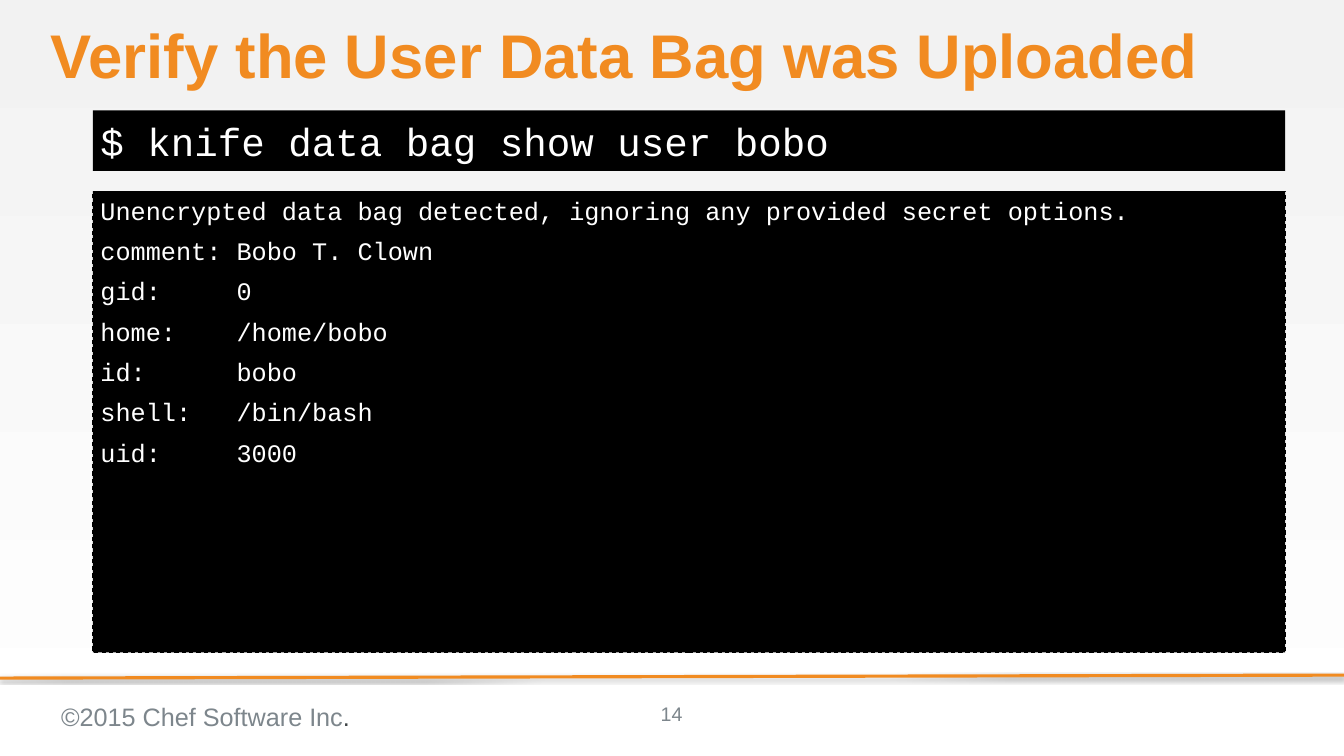
from lxml.etree import SubElement
from pptx import Presentation
from pptx.dml.color import RGBColor
from pptx.enum.dml import MSO_LINE_DASH_STYLE as Dash
from pptx.enum.shapes import MSO_CONNECTOR as Connector, MSO_SHAPE as Shape
from pptx.enum.text import MSO_ANCHOR as Anchor, PP_ALIGN as Align
from pptx.oxml.ns import qn
from pptx.util import Inches, Pt

ORANGE = RGBColor(0xF1, 0x8B, 0x21)
BLACK = RGBColor(0x00, 0x00, 0x00)
WHITE = RGBColor(0xFF, 0xFF, 0xFF)
PALE = RGBColor(0xF2, 0xF2, 0xF2)
GRAY = RGBColor(0x7D, 0x86, 0x8C)
DARK = RGBColor(0x3E, 0x43, 0x46)

TITLE = {"name": "Arial", "size": Pt(58.7), "bold": True}
COMMAND = {"name": "Courier New", "size": Pt(37.3)}
OUTPUT = {"name": "Courier New", "size": Pt(24)}
FOOTER = {"name": "Arial", "size": Pt(24)}
NUMBER = {"name": "Arial", "size": Pt(18.7)}

TERMINAL_LEFT, TERMINAL_WIDTH = 6.92, 88.7
OUTPUT_LINES = [
    "Unencrypted data bag detected, ignoring any provided secret options.",
    "comment: Bobo T. Clown",
    "gid:     0",
    "home:    /home/bobo",
    "id:      bobo",
    "shell:   /bin/bash",
    "uid:     3000",
]


def apply(target, values):
    for name, value in values.items():
        setattr(target, name, value)


class SlideBuilder:
    def __init__(self, presentation):
        self.width = presentation.slide_width
        self.height = presentation.slide_height
        self.slide = presentation.slides.add_slide(presentation.slide_layouts[6])

    def place(self, left, top, width, height):
        return (
            int(self.width * left / 100),
            int(self.height * top / 100),
            int(self.width * width / 100),
            int(self.height * height / 100),
        )

    def background(self, start, end):
        fill = self.slide.background.fill
        fill.gradient()
        fill.gradient_angle = 270
        for stop, color in zip(fill.gradient_stops, (start, end)):
            stop.color.rgb = color

    def rule(self, start, end, color, weight):
        connector = self.slide.shapes.add_connector(
            Connector.STRAIGHT, *self.place(*start, *end))
        connector.line.color.rgb = color
        connector.line.width = Pt(weight)
        effects = SubElement(connector._element.spPr, qn("a:effectLst"))
        shadow = SubElement(effects, qn("a:outerShdw"), blurRad="40000",
                            dist="23000", dir="5400000", rotWithShape="0")
        shade = SubElement(shadow, qn("a:srgbClr"), val=str(BLACK))
        SubElement(shade, qn("a:alpha"), val="35000")

    def fill_text(self, shape, lines, style, frame_format=None, line_format=None, gap=0):
        frame = shape.text_frame
        apply(frame, {"word_wrap": True, "vertical_anchor": Anchor.TOP,
                      **(frame_format or {})})
        for index, runs in enumerate(lines):
            paragraph = frame.add_paragraph() if index else frame.paragraphs[0]
            apply(paragraph, {"alignment": Align.LEFT, **(line_format or {})})
            if index:
                paragraph.space_before = Pt(gap)
            for text, color in runs:
                run = paragraph.add_run()
                run.text = text
                apply(run.font, style)
                run.font.color.rgb = color

    def text(self, box, runs, style, **formats):
        shape = self.slide.shapes.add_textbox(*self.place(*box))
        self.fill_text(shape, [runs], style, **formats)

    def terminal(self, top, height, lines, style, dashed=False, **formats):
        shape = self.slide.shapes.add_shape(
            Shape.RECTANGLE,
            *self.place(TERMINAL_LEFT, top, TERMINAL_WIDTH, height))
        shape.shadow.inherit = False
        shape.fill.solid()
        shape.fill.fore_color.rgb = BLACK
        if dashed:
            shape.line.color.rgb = BLACK
            apply(shape.line, {"width": Pt(1), "dash_style": Dash.DASH})
        else:
            shape.line.fill.background()
        self.fill_text(shape, [[(line, WHITE)] for line in lines], style, **formats)


def main():
    presentation = Presentation()
    apply(presentation, {"slide_width": Inches(17.78), "slide_height": Inches(10)})
    builder = SlideBuilder(presentation)
    no_margins = dict.fromkeys(
        ("margin_left", "margin_top", "margin_right", "margin_bottom"), 0)

    builder.background(PALE, WHITE)
    builder.rule((100, 89.3), (0, 89.7), ORANGE, 3)
    builder.text((3.77, 3.3, 91.85, 9.1),
                 [("Verify the User Data Bag was Uploaded", ORANGE)], TITLE,
                 frame_format=no_margins, line_format={"line_spacing": 0.9})
    builder.terminal(25.3, 61, OUTPUT_LINES, OUTPUT, dashed=True, gap=9.6)
    builder.terminal(14.6, 8, ["$ knife data bag show user bobo"], COMMAND,
                     frame_format={**no_margins, "margin_left": Inches(0.1),
                                   "vertical_anchor": Anchor.MIDDLE})
    builder.text((3.99, 92.3, 32.73, 5.6),
                 [("©2015 Chef Software Inc", GRAY), (".", DARK)], FOOTER)
    builder.text((45.5, 92.4, 8.94, 5.3), [("14", GRAY)], NUMBER,
                 line_format={"alignment": Align.CENTER})
    presentation.save("out.pptx")


if __name__ == "__main__":
    main()
